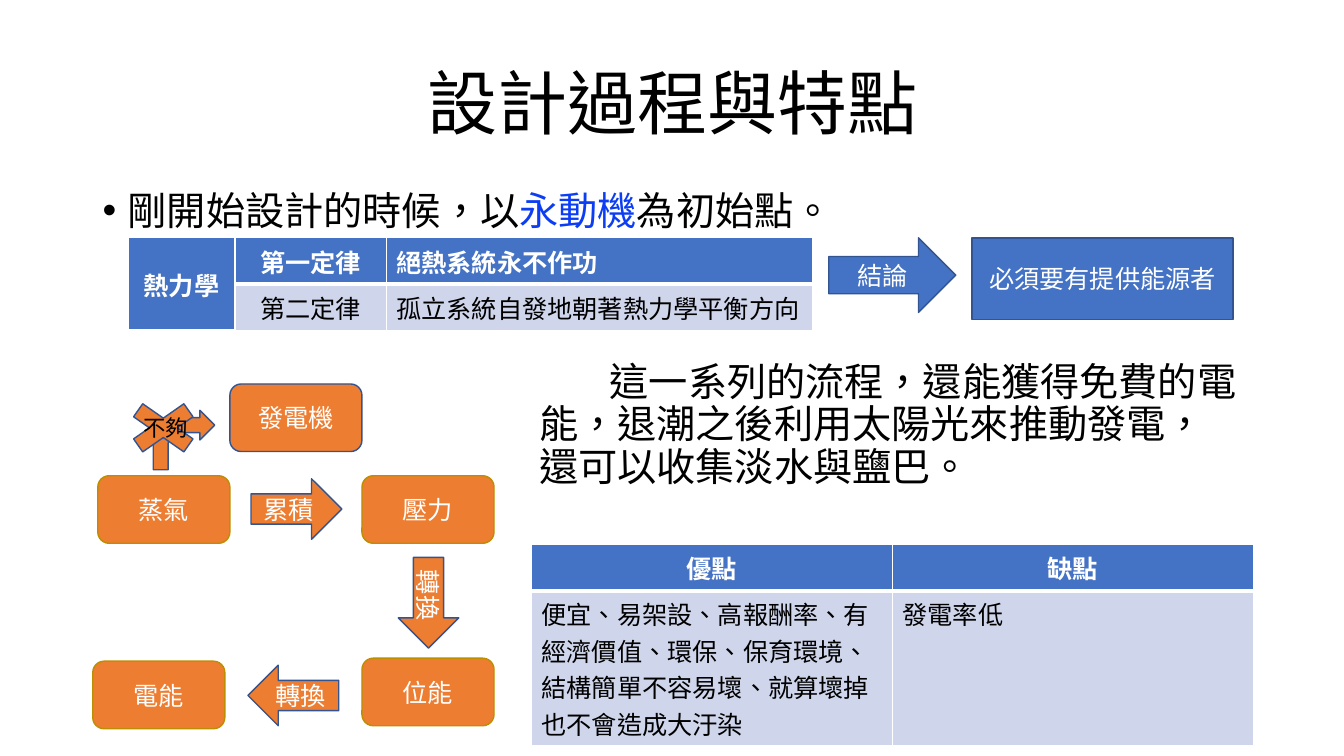
from lxml import etree
from pptx import Presentation
from pptx.dml.color import RGBColor
from pptx.enum.shapes import MSO_SHAPE
from pptx.enum.text import MSO_ANCHOR, PP_ALIGN
from pptx.oxml.ns import qn
from pptx.util import Inches, Pt

CENTER, LEFT = PP_ALIGN.CENTER, PP_ALIGN.LEFT
MIDDLE, TOP = MSO_ANCHOR.MIDDLE, MSO_ANCHOR.TOP
RECT, ROUNDED = MSO_SHAPE.RECTANGLE, MSO_SHAPE.ROUNDED_RECTANGLE
RIGHT_ARROW, LEFT_ARROW = MSO_SHAPE.RIGHT_ARROW, MSO_SHAPE.LEFT_ARROW
BENT_ARROW, CROSS = MSO_SHAPE.BENT_ARROW, MSO_SHAPE.MATH_MULTIPLY

BLACK = RGBColor(0x00, 0x00, 0x00)
WHITE = RGBColor(0xFF, 0xFF, 0xFF)
BLUE = RGBColor(0x44, 0x72, 0xC4)
PALE_BLUE = RGBColor(0xCF, 0xD5, 0xEA)
DARK_BLUE = RGBColor(0x32, 0x54, 0x91)
BRIGHT_BLUE = RGBColor(0x0B, 0x3D, 0xF5)
ORANGE = RGBColor(0xED, 0x7D, 0x31)
GOLD = RGBColor(0xBD, 0x8E, 0x00)
CJK_FONT, LATIN_FONT = "Noto Sans CJK SC", "Calibri"
LANGUAGE = "zh-TW"

# Content
TITLE = "設計過程與特點"
INTRO = [("剛開始設計的時候，以", BLACK), ("永動機", BRIGHT_BLUE), ("為初始點。", BLACK)]
SUMMARY = "這一系列的流程，還能獲得免費的電能，退潮之後利用太陽光來推動發電，還可以收集淡水與鹽巴。"

PROS_CONS = [
    ["優點", "缺點"],
    ["便宜、易架設、高報酬率、有經濟價值、環保、保育環境、結構簡單不容易壞、就算壞掉也不會造成大汙染", "發電率低"],
]
LAWS = [
    ["熱力學", "第一定律", "絕熱系統永不作功"],
    ["", "第二定律", "孤立系統自發地朝著熱力學平衡方向"],
]

BOX_SIZE, ARROW_SIZE = (1.31, 0.67), (0.9, 0.6)
# kind, text, (left, top), (width, height), fill, line, rotation
FLOW = [
    (RIGHT_ARROW, "結論", (8.22, 2.36), (1.26, 0.74), BLUE, DARK_BLUE, 0),
    (RECT, "必須要有提供能源者", (9.64, 2.36), (2.59, 0.81), BLUE, DARK_BLUE, 0),
    (ROUNDED, "發電機", (2.28, 3.81), BOX_SIZE, ORANGE, DARK_BLUE, 0),
    (ROUNDED, "蒸氣", (0.97, 4.72), BOX_SIZE, ORANGE, GOLD, 0),
    (RIGHT_ARROW, "累積", (2.49, 4.75), ARROW_SIZE, ORANGE, DARK_BLUE, 0),
    (ROUNDED, "壓力", (3.59, 4.72), BOX_SIZE, ORANGE, GOLD, 0),
    (RIGHT_ARROW, "轉換", (3.8, 5.68), ARROW_SIZE, ORANGE, DARK_BLUE, 90),
    (ROUNDED, "位能", (3.59, 6.53), BOX_SIZE, ORANGE, GOLD, 0),
    (LEFT_ARROW, "轉換", (2.46, 6.6), ARROW_SIZE, ORANGE, DARK_BLUE, 0),
    (ROUNDED, "電能", (0.92, 6.56), BOX_SIZE, ORANGE, GOLD, 0),
]
BLOCKED_PATH = [
    (BENT_ARROW, "", (1.52, 4.07), (0.61, 0.59), ORANGE, DARK_BLUE, 0),
    (CROSS, "", (1.14, 3.91), (0.96, 0.67), ORANGE, DARK_BLUE, 0),
]


def add_span(para, text, size, color, font=CJK_FONT, bold=False):
    span = para.add_run()
    span.text = text
    span.font.name, span.font.size, span.font.bold = font, Pt(size), bold
    span.font.color.rgb = color
    props = span.font._element
    props.set("lang", LANGUAGE)
    etree.SubElement(props, qn("a:ea")).set("typeface", CJK_FONT)


def add_text_box(shapes, left, top, width, height, anchor=TOP):
    box = shapes.add_textbox(Inches(left), Inches(top), Inches(width), Inches(height))
    box.text_frame.word_wrap = True
    box.text_frame.vertical_anchor = anchor
    return box.text_frame


def set_indent(para, margin, indent, bullet=None):
    props = para._p.get_or_add_pPr()
    props.set("marL", str(Inches(margin)))
    props.set("indent", str(Inches(indent)))
    if bullet:
        etree.SubElement(props, qn("a:buFont")).set("typeface", "Arial")
        etree.SubElement(props, qn("a:buChar")).set("char", bullet)


def add_block(shapes, kind, text, place, size, fill, line, rotation):
    block = shapes.add_shape(kind, *map(Inches, place + size))
    block.shadow.inherit = False
    block.fill.solid()
    block.fill.fore_color.rgb = fill
    block.line.color.rgb = line
    block.line.width = Pt(1)
    block.rotation = rotation
    if text:
        block.text_frame.vertical_anchor = MIDDLE
        para = block.text_frame.paragraphs[0]
        para.alignment = CENTER
        add_span(para, text, 18, WHITE)


def add_border(cell, side, points):
    props = cell._tc.get_or_add_tcPr()
    line = etree.SubElement(props, qn("a:ln" + side), w=str(Pt(points)))
    fill = etree.SubElement(line, qn("a:solidFill"))
    etree.SubElement(fill, qn("a:srgbClr"), val=str(WHITE))


def add_grid(page, rows, place, widths, heights, centered, anchor, label_column=False):
    size = (sum(widths), sum(heights))
    table = page.shapes.add_table(len(rows), len(widths), *map(Inches, place + size)).table
    for column, width in zip(table.columns, widths):
        column.width = Inches(width)
    for r, texts in enumerate(rows):
        table.rows[r].height = Inches(heights[r])
        for c, text in enumerate(texts):
            cell = table.cell(r, c)
            header = r == 0 or (label_column and c == 0)
            for side in "LRTB":
                thick = (side == "B" and r == 0) or (side == "T" and r == 1)
                add_border(cell, side, 3 if thick else 1)
            cell.fill.solid()
            cell.fill.fore_color.rgb = BLUE if header else PALE_BLUE
            in_center = (r, c) in centered
            cell.vertical_anchor = anchor if in_center else TOP
            para = cell.text_frame.paragraphs[0]
            para.alignment = CENTER if in_center else LEFT
            if text:
                add_span(para, text, 18, WHITE if header else BLACK, LATIN_FONT, header)
    if label_column:
        table.cell(0, 0).merge(table.cell(len(rows) - 1, 0))


def main():
    deck = Presentation()
    deck.slide_width, deck.slide_height = Inches(13.33), Inches(7.5)
    page = deck.slides.add_slide(deck.slide_layouts[6])

    # Title
    para = add_text_box(page.shapes, 0.92, 0.4, 11.5, 1.31, MIDDLE).paragraphs[0]
    para.alignment, para.line_spacing = CENTER, 0.9
    add_span(para, TITLE, 50, BLACK)

    # Opening bullet and summary
    body = add_text_box(page.shapes, 0.92, 1.85, 11.5, 4.91)
    intro, summary = body.paragraphs[0], body.add_paragraph()
    for para in (intro, summary):
        para.line_spacing, para.space_before = 0.9, Pt(10)
    intro.space_after = Pt(82)
    set_indent(intro, 0.25, -0.25, "•")
    set_indent(summary, 4.33, 0.7)
    for text, color in INTRO:
        add_span(intro, text, 28, color)
    add_span(summary, SUMMARY, 28, BLACK)

    # Tables, with rows tall enough for their text
    add_grid(page, PROS_CONS, (5.27, 5.4), [3.58, 3.58], [0.46, 1.54], {(0, 0), (0, 1)}, TOP)
    add_grid(page, LAWS, (1.27, 2.36), [1.06, 1.5, 4.23], [0.46, 0.46],
             {(0, 0), (0, 1), (1, 1)}, MIDDLE, label_column=True)

    # Flow of energy
    for block in FLOW:
        add_block(page.shapes, *block)

    # Blocked path from steam to generator
    group = page.shapes.add_group_shape()
    for block in BLOCKED_PATH:
        add_block(group.shapes, *block)
    label = add_text_box(group.shapes, 1.32, 4.06, 0.75, 0.37)
    add_span(label.paragraphs[0], "不夠", 16, BLACK)

    deck.save("out.pptx")


if __name__ == "__main__":
    main()
